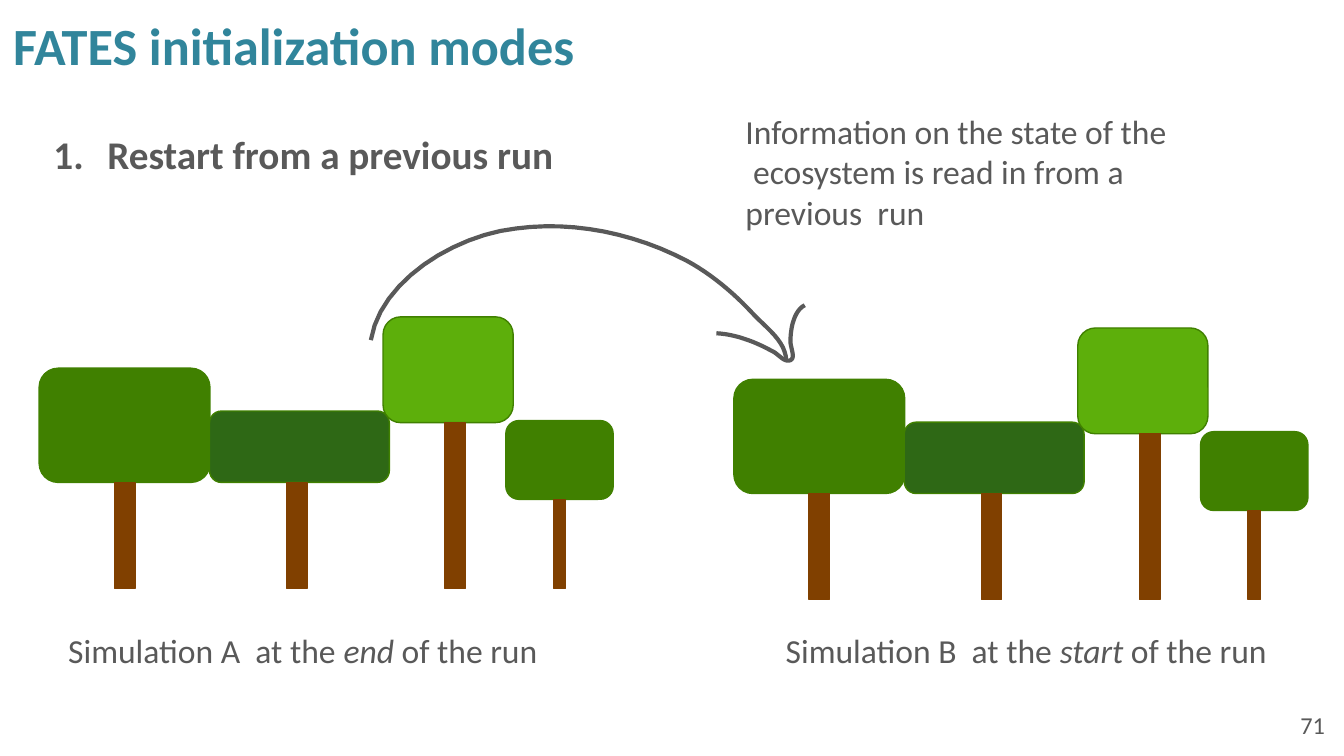
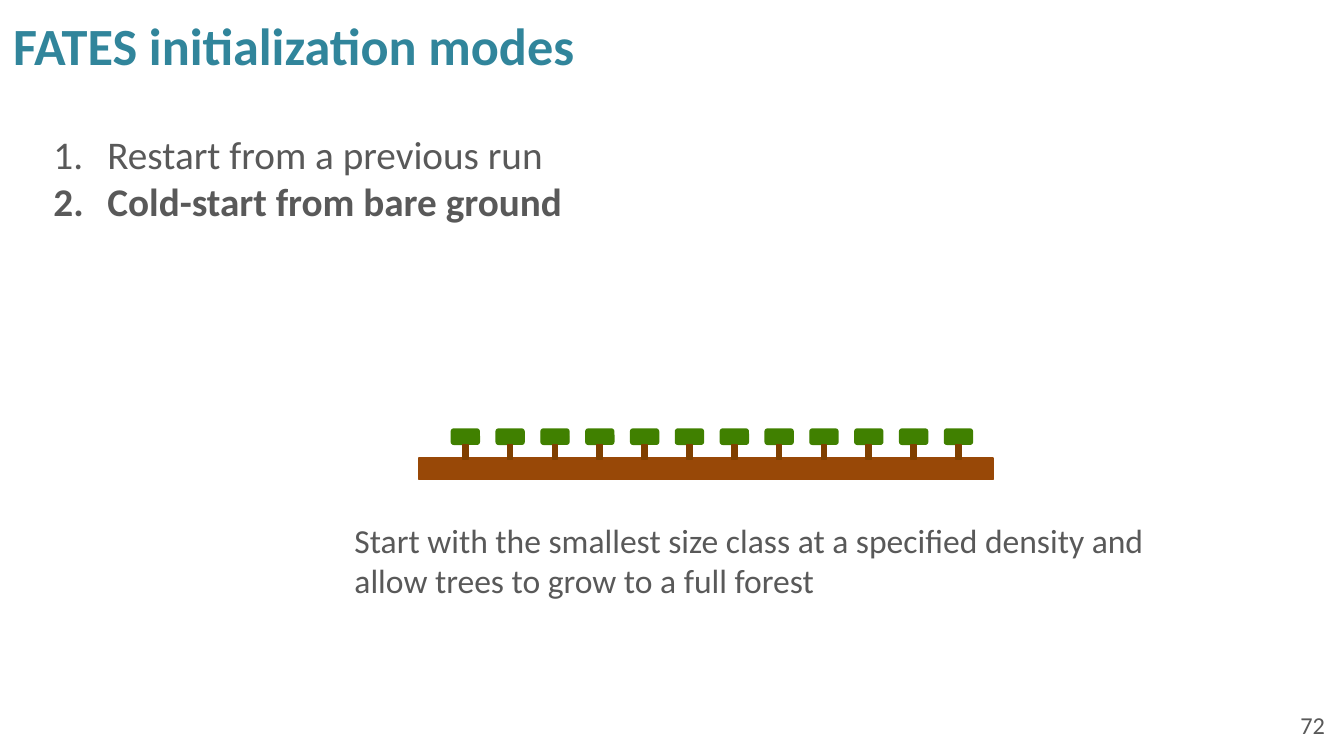
"""Build two slides on the initialization modes of FATES."""
from dataclasses import dataclass

from lxml.etree import SubElement
from pptx import Presentation
from pptx.dml.color import RGBColor as Color
from pptx.enum.shapes import MSO_SHAPE as Shape
from pptx.enum.text import MSO_ANCHOR as Anchor, PP_ALIGN as Align
from pptx.oxml.ns import qn
from pptx.util import Cm, Pt


@dataclass(frozen=True)
class Theme:
    font: str = "Calibri"
    title: str = "31859B"
    text: str = "595959"
    crown: str = "408000"
    shade: str = "2E6815"
    light: str = "5DAF0B"
    trunk: str = "804000"
    soil: str = "984807"
    title_size: float = 28
    list_size: float = 21
    body_size: float = 18
    number_size: float = 13
    outline: float = 0.75
    stroke: float = 2.25


THEME = Theme()
SLIDE_WIDTH, SLIDE_HEIGHT = 25.4, 14.29
TITLE = "FATES initialization modes"
MODES = ["Restart from a previous run", "Cold-start from bare ground"]
SLIDES = [
    {
        "number": 71,
        "modes": 1,
        "texts": [
            ((1.04, 11.66, 10.24, 2.57), [("Simulation A  at the ", {}), ("end", {"italic": True}), (" of the run", {})]),
            ((14.6, 11.66, 10.24, 2.57), [("Simulation B  at the ", {}), ("start", {"italic": True}), (" of the run", {})]),
            ((13.84, 1.85, 8.48, 2.82), [("Information on the state of the  ecosystem is read in from a previous  run", {})]),
        ],
    },
    {
        "number": 72,
        "modes": 2,
        "texts": [
            ((6.45, 9.58, 16.15, 2.72), [("Start with the smallest size class at a specified density and allow trees to grow to a full forest", {})]),
        ],
    },
]

# left, crown width, crown height, crown colour, trunk width, trunk height, trunk shift
FOREST = [
    (0, 3.23, 2.16, THEME.crown, 0.39, 2.0, 0),
    (3.22, 3.4, 1.35, THEME.shade, 0.39, 2.0, -0.05),
    (6.5, 2.46, 2.0, THEME.light, 0.39, 3.13, 0.13),
    (8.82, 2.03, 1.49, THEME.crown, 0.23, 1.68, 0),
]
FOREST_ORIGINS = [(0.74, 11.12), (13.87, 11.33)]

SEEDLING_COUNT = 12
SEEDLING_SPAN = 9.32
SEEDLING_ORIGIN = (8.53, 8.69)
SEEDLINGS = [
    (index * SEEDLING_SPAN / (SEEDLING_COUNT - 1), 0.53, 0.29, THEME.crown, 0.1, 0.29, 0)
    for index in range(SEEDLING_COUNT)
]
GROUND = (7.92, 8.66, 10.85, 0.41)

ARROW_HEAD = [
    (13.54, 6.3), (13.89, 6.32), (14.25, 6.45), (14.58, 6.63),
    (14.71, 6.68), (14.81, 6.86), (14.94, 6.81),
    (15.04, 6.76), (14.94, 6.58), (14.94, 6.45),
    (14.94, 6.2), (15.01, 5.87), (15.21, 5.77),
]
ARROW_SHAFT = [
    (7.01, 6.43), (7.19, 5.31), (8.59, 4.45), (9.75, 4.32),
    (10.85, 4.17), (12.01, 4.42), (12.98, 4.93),
    (13.44, 5.18), (13.87, 5.54), (14.22, 5.92),
    (14.48, 6.2), (14.86, 6.45), (14.86, 6.83),
]
CURVE_STEPS = 12


def add_text(slide, box, paragraphs, size, color=THEME.text, align=Align.LEFT):
    frame = slide.shapes.add_textbox(*map(Cm, box)).text_frame
    frame_format = {"word_wrap": True, "vertical_anchor": Anchor.TOP}
    frame_format |= {f"margin_{side}": Cm(0.25) for side in ("left", "right", "top", "bottom")}
    for name, value in frame_format.items():
        setattr(frame, name, value)
    for index, runs in enumerate(paragraphs):
        paragraph = frame.add_paragraph() if index else frame.paragraphs[0]
        paragraph.alignment = align
        for text, emphasis in runs:
            run = paragraph.add_run()
            run.text = text
            for name, value in ({"name": THEME.font, "size": Pt(size)} | emphasis).items():
                setattr(run.font, name, value)
            run.font.color.rgb = Color.from_string(color)
    return frame


def add_modes(slide, count):
    paragraphs = [[(mode, {"bold": index == count - 1})] for index, mode in enumerate(MODES[:count])]
    frame = add_text(slide, (0.51, 2.21, 23.7, 8.48), paragraphs, THEME.list_size)
    for paragraph in frame.paragraphs:
        properties = paragraph._p.get_or_add_pPr()
        properties.set("marL", str(Cm(1.27)))
        properties.set("indent", str(-Cm(1.02)))
        bullet_color = SubElement(properties, qn("a:buClr"))
        SubElement(bullet_color, qn("a:srgbClr"), val=THEME.text)
        SubElement(properties, qn("a:buAutoNum"), type="arabicPeriod")


def add_block(shapes, kind, box, fill, line):
    shape = shapes.add_shape(kind, *map(Cm, box))
    shape.shadow.inherit = False
    shape.fill.solid()
    shape.fill.fore_color.rgb = Color.from_string(fill)
    shape.line.color.rgb = Color.from_string(line)
    shape.line.width = Pt(THEME.outline)


def add_trees(slide, origin, trees):
    shapes = slide.shapes.add_group_shape().shapes
    for left, width, height, color, trunk_width, trunk_height, shift in trees:
        left += origin[0]
        trunk_top = origin[1] - trunk_height
        trunk_left = left + (width - trunk_width) / 2 + shift
        add_block(shapes, Shape.ROUNDED_RECTANGLE, (left, trunk_top - height, width, height), color, THEME.crown)
        add_block(shapes, Shape.RECTANGLE, (trunk_left, trunk_top, trunk_width, trunk_height), THEME.trunk, THEME.trunk)


def curve_point(controls, t):
    weights = ((1 - t) ** 3, 3 * t * (1 - t) ** 2, 3 * t * t * (1 - t), t ** 3)
    return tuple(Cm(sum(w * point[axis] for w, point in zip(weights, controls))) for axis in (0, 1))


def add_curve(slide, points):
    vertices = [
        curve_point(points[start:start + 4], step / CURVE_STEPS)
        for start in range(0, len(points) - 1, 3)
        for step in range(1, CURVE_STEPS + 1)
    ]
    builder = slide.shapes.build_freeform(*map(Cm, points[0]))
    builder.add_line_segments(vertices, close=False)
    shape = builder.convert_to_shape()
    shape.shadow.inherit = False
    shape.fill.background()
    shape.line.color.rgb = Color.from_string(THEME.text)
    shape.line.width = Pt(THEME.stroke)


def draw_restart(slide):
    for origin in FOREST_ORIGINS:
        add_trees(slide, origin, FOREST)
    for points in (ARROW_HEAD, ARROW_SHAFT):
        add_curve(slide, points)


def draw_cold_start(slide):
    add_block(slide.shapes, Shape.RECTANGLE, GROUND, THEME.soil, THEME.soil)
    add_trees(slide, SEEDLING_ORIGIN, SEEDLINGS)


def main():
    presentation = Presentation()
    presentation.slide_width, presentation.slide_height = Cm(SLIDE_WIDTH), Cm(SLIDE_HEIGHT)
    for content, draw in zip(SLIDES, (draw_restart, draw_cold_start)):
        slide = presentation.slides.add_slide(presentation.slide_layouts[6])
        add_text(slide, (0, 0, SLIDE_WIDTH, 1.91), [[(TITLE, {"bold": True})]], THEME.title_size, THEME.title)
        add_modes(slide, content["modes"])
        draw(slide)
        for box, runs in content["texts"]:
            add_text(slide, box, [runs], THEME.body_size)
        number = [[(str(content["number"]), {})]]
        add_text(slide, (23.77, 13.18, 1.52, 1.09), number, THEME.number_size, align=Align.RIGHT)
    presentation.save("out.pptx")


if __name__ == "__main__":
    main()
